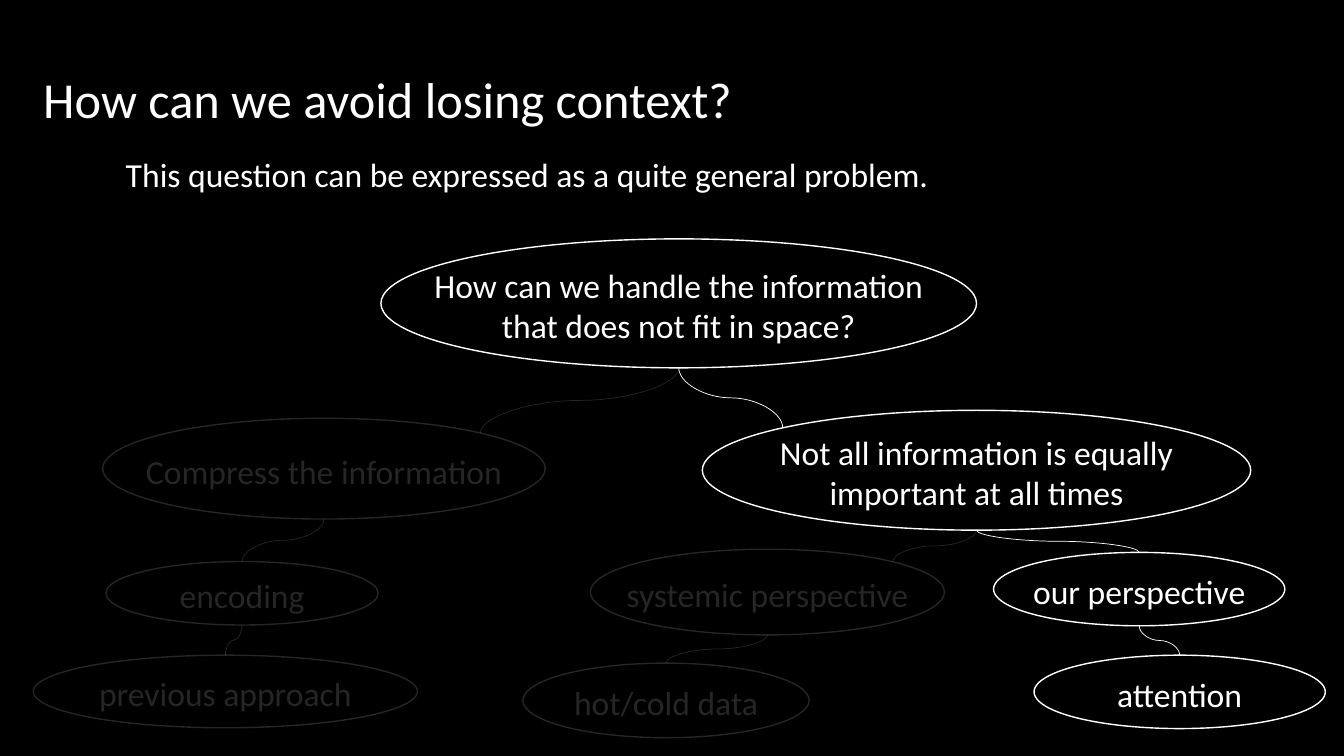
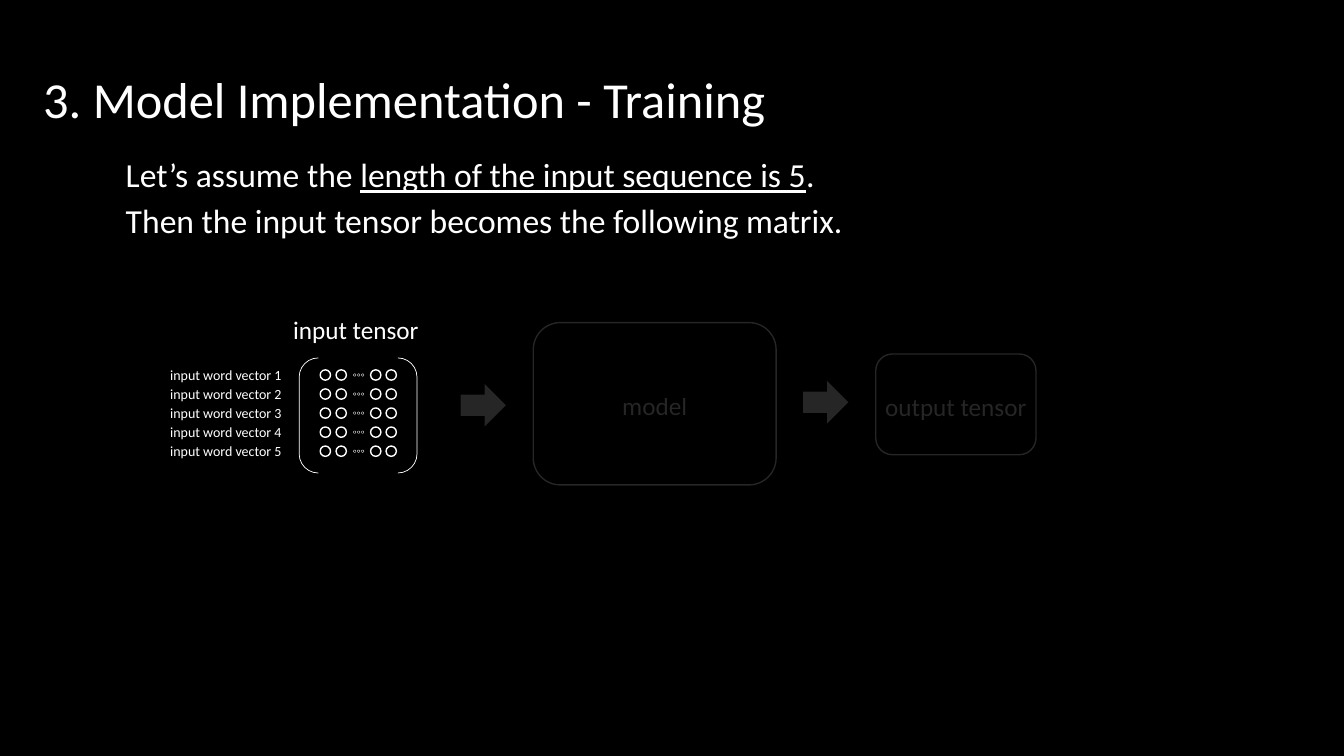
from math import cos, radians, sin

from lxml.etree import SubElement
from pptx import Presentation
from pptx.dml.color import RGBColor
from pptx.enum.shapes import MSO_CONNECTOR, MSO_SHAPE
from pptx.enum.text import MSO_ANCHOR, PP_ALIGN
from pptx.oxml.ns import qn
from pptx.util import Cm, Pt

BLACK = RGBColor(0x00, 0x00, 0x00)
WHITE = RGBColor(0xFF, 0xFF, 0xFF)
FONT = "Calibri"
FAINT = "15000"  # 15 % opacity

# Connection sites of an ellipse, counted counter-clockwise from the top
TOP, TOP_LEFT, BOTTOM, TOP_RIGHT = 0, 1, 4, 7

# Nodes: text, left, top, width, height, dimmed
NODES = {
    "root": ("How can we handle the information\vthat does not fit in space?",
             8.76, 0, 15.01, 3.25, False),
    "press": ("Compress the information", 1.75, 4.52, 11.15, 2.54, True),
    "code": ("encoding", 1.83, 8.13, 6.86, 1.6, True),
    "past": ("previous approach", 0, 10.49, 9.68, 1.83, True),
    "rank": ("Not all information is equally\vimportant at all times",
             16.86, 4.32, 13.82, 3.02, False),
    "system": ("systemic perspective", 14.04, 7.82, 8.92, 2.16, True),
    "heat": ("hot/cold data", 12.34, 10.69, 7.21, 1.88, True),
    "ours": ("our perspective", 24.2, 7.9, 7.34, 1.85, False),
    "focus": ("attention", 25.22, 10.49, 7.34, 1.85, False),
}
# Links: parent, child, site on the child (a link is as dim as its child)
LINKS = [
    ("root", "press", TOP_RIGHT), ("root", "rank", TOP_LEFT),
    ("press", "code", TOP), ("code", "past", TOP),
    ("rank", "system", TOP_RIGHT), ("rank", "ours", TOP),
    ("system", "heat", TOP), ("ours", "focus", TOP),
]


# Shared helpers
def fade(shape):
    """Make every colour of a shape faint."""
    for color in shape.element.iter(qn("a:srgbClr")):
        SubElement(color, qn("a:alpha"), val=FAINT)


def style(para, size):
    para.font.name = FONT
    para.font.size = Pt(size)
    para.font.color.rgb = WHITE


def label(slide, text, x, y, w, h, size):
    box = slide.shapes.add_textbox(Cm(x), Cm(y), Cm(w), Cm(h))
    box.text_frame.word_wrap = True
    para = box.text_frame.paragraphs[0]
    para.text = text
    style(para, size)
    return box


def draw(shapes, kind, x, y, w, h, line=1, fill=None):
    shape = shapes.add_shape(kind, Cm(x), Cm(y), Cm(w), Cm(h))
    shape.shadow.inherit = False
    if fill is None:
        shape.fill.background()
    else:
        shape.fill.solid()
        shape.fill.fore_color.rgb = fill
    if line:
        shape.line.color.rgb = WHITE
        shape.line.width = Pt(line)
    else:
        shape.line.fill.background()
    return shape


def node(slide, kind, text, x, y, w, h, size, dim):
    """Outlined shape with centred text."""
    shape = draw(slide.shapes, kind, x, y, w, h)
    frame = shape.text_frame
    frame.word_wrap = False
    frame.vertical_anchor = MSO_ANCHOR.MIDDLE
    frame.margin_left = frame.margin_right = frame.margin_bottom = 0
    frame.margin_top = Cm(0.1)
    para = frame.paragraphs[0]
    para.text = text
    para.alignment = PP_ALIGN.CENTER
    style(para, size)
    if dim:
        fade(shape)
    return shape


def page(deck, title, lines):
    """Black slide with a title and lead lines; every second run is underlined."""
    slide = deck.slides.add_slide(deck.slide_layouts[6])
    slide.background.fill.solid()
    slide.background.fill.fore_color.rgb = BLACK
    label(slide, title, 0.84, 1.6, 31.55, 1.8, 36)
    frame = label(slide, "", 2.92, 3.76, 29, 1.27, 24).text_frame
    for i, runs in enumerate(lines):
        para = frame.add_paragraph() if i else frame.paragraphs[0]
        style(para, 24)
        if i:
            para.space_before = Pt(4)
        for j, text in enumerate(runs):
            run = para.add_run()
            run.text = text
            if j % 2:
                run.font.underline = True
    return slide


# Tree of ideas
def point(shape, site):
    turn = radians(90 + 45 * site)
    return (shape.left + shape.width / 2 * (1 + cos(turn)),
            shape.top + shape.height / 2 * (1 - sin(turn)))


def link(slide, start, end, site, dim):
    """Curve that leaves and arrives vertically, glued to both ellipses."""
    (x1, y1), (x2, y2) = point(start, BOTTOM), point(end, site)
    # The curve is laid out sideways, then turned about its centre
    long, wide = y2 - y1, abs(x2 - x1)
    left, top = (x1 + x2 - long) / 2, (y1 + y2 - wide) / 2
    curve = slide.shapes.add_connector(
        MSO_CONNECTOR.CURVE, int(left), int(top), int(left + long), int(top + wide))
    curve.line.color.rgb = WHITE
    curve.line.width = Pt(0.5)
    props = curve.element.spPr
    SubElement(props, qn("a:effectLst"))
    frame = props.find(qn("a:xfrm"))
    if x2 > x1:
        frame.set("rot", "16200000")
        frame.set("flipH", "1")
    else:
        frame.set("rot", "5400000")
    glue = next(curve.element.iter(qn("p:cNvCxnSpPr")))
    for tag, shape, idx in (("a:stCxn", start, BOTTOM), ("a:endCxn", end, site)):
        SubElement(glue, qn(tag), id=str(shape.shape_id), idx=str(idx))
    if dim:
        fade(curve)


def tree(slide, x, y):
    made = {}
    for key, (text, dx, dy, w, h, dim) in NODES.items():
        made[key] = node(slide, MSO_SHAPE.OVAL, text, x + dx, y + dy, w, h, 24, dim)
    for start, end, site in LINKS:
        link(slide, made[start], made[end], site, NODES[end][-1])


# Input matrix: one labelled row of rings and dots per word
def matrix(slide, x, y, rows=5, step=0.48):
    label(slide, "input tensor", x - 0.4, y - 1.22, 5.05, 1.02, 18)
    draw(slide.shapes, MSO_SHAPE.DOUBLE_BRACKET, x, y, 2.97, 2.9, 0.5, BLACK)
    for i in range(rows):
        top = y + i * step
        label(slide, f"input word vector {i + 1}", x - 3.5, top + 0.08, 3.66, 0.69, 10)
        row = slide.shapes.add_group_shape().shapes
        for dx in (1.37, 1.47, 1.57):
            draw(row, MSO_SHAPE.OVAL, x + dx, top + 0.4, 0.06, 0.06, 0.25)
        for dx in (0.53, 0.93, 1.8, 2.19):
            draw(row, MSO_SHAPE.OVAL, x + dx, top + 0.3, 0.26, 0.26, 1, BLACK)


# Flow from the input matrix through the model to the output
def flow(slide, x, y):
    matrix(slide, x, y + 0.89)
    for text, dx, dy, w, h in (("model", 5.9, 0, 6.12, 4.09),
                               ("output tensor", 14.53, 0.79, 4.04, 2.54)):
        node(slide, MSO_SHAPE.ROUNDED_RECTANGLE, text, x + dx, y + dy, w, h, 18, True)
    for dx, dy in ((4.07, 1.55), (12.7, 1.47)):
        fade(draw(slide.shapes, MSO_SHAPE.RIGHT_ARROW,
                  x + dx, y + dy, 1.14, 1.07, 0, WHITE))


def main():
    deck = Presentation()
    deck.slide_width, deck.slide_height = Cm(33.87), Cm(19.05)

    slide = page(deck, "How can we avoid losing context?",
                 [("This question can be expressed as a quite general problem.",)])
    tree(slide, 0.84, 6.02)

    slide = page(deck, "3. Model Implementation - Training", [
        ("Let’s assume the ", "length of the input sequence is 5", "."),
        ("Then the input tensor becomes the following matrix.",),
    ])
    flow(slide, 7.54, 8.13)

    deck.save("out.pptx")


if __name__ == "__main__":
    main()
